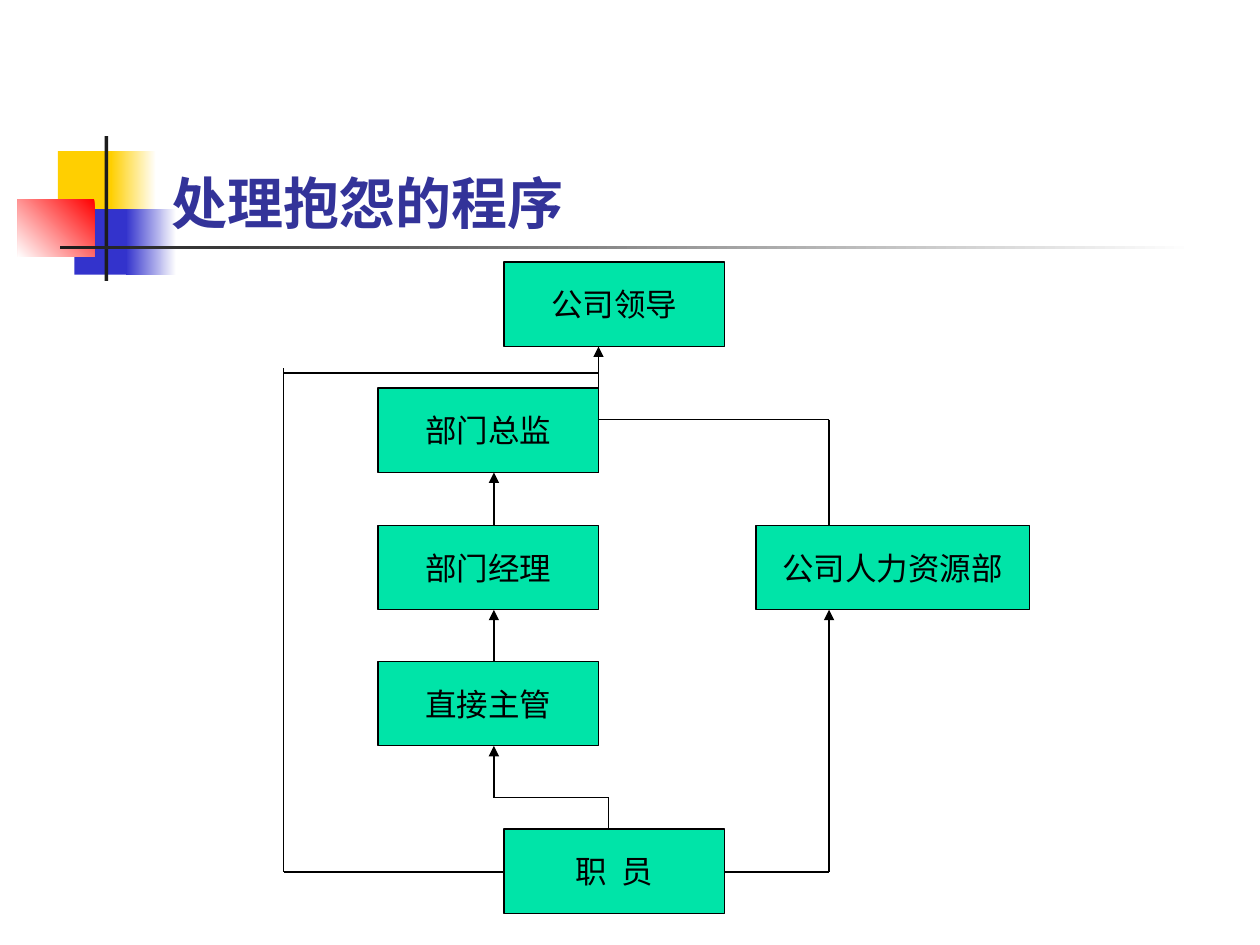
from lxml import etree
from pptx import Presentation
from pptx.dml.color import RGBColor
from pptx.enum.shapes import MSO_CONNECTOR, MSO_SHAPE
from pptx.enum.text import MSO_ANCHOR, MSO_AUTO_SIZE, PP_ALIGN
from pptx.oxml.ns import qn
from pptx.util import Inches, Pt

RECTANGLE = MSO_SHAPE.RECTANGLE
STRAIGHT = MSO_CONNECTOR.STRAIGHT
MIDDLE, BOTTOM = MSO_ANCHOR.MIDDLE, MSO_ANCHOR.BOTTOM
CENTER, LEFT = PP_ALIGN.CENTER, PP_ALIGN.LEFT
NO_AUTOFIT = MSO_AUTO_SIZE.NONE

FONT = "Karla"
BLACK, BOX_GREEN, TITLE_BLUE = "000000", "00E4A8", "333399"
TITLE = "处理抱怨的程序"

# left, top, width, height, colours (one solid, or two for a gradient), angle
ORNAMENTS = [
    (0.46, 1.2, 0.48, 0.52, ["FFCF01"], None),
    (0.88, 1.2, 0.36, 0.52, ["FFFFFF", "FFCF01"], 180),
    (0.59, 1.66, 0.46, 0.52, ["3333CC"], None),
    (1, 1.66, 0.4, 0.52, ["FFFFFF", "3333CC"], 180),
    (0.14, 1.58, 0.61, 0.46, ["FF0000", "FFFFFF"], 225),
    (0.83, 1.08, 0.03, 1.15, ["1C1C1C"], None),
    (0.48, 1.95, 9, 0.03, ["FFFFFF", "1C1C1C"], 180),
]

BOX_HEIGHT, BOX_WIDTH, HR_WIDTH = 0.67, 1.75, 2.17
CHAIN_LEFT, CENTRE_LEFT, HR_LEFT = 3, 4, 6
LEADER_TOP, DIRECTOR_TOP, MANAGER_TOP = 2.08, 3.08, 4.17
SUPERVISOR_TOP, STAFF_TOP = 5.25, 6.58
BOXES = [
    ("职  员", CENTRE_LEFT, STAFF_TOP, BOX_WIDTH),
    ("公司领导", CENTRE_LEFT, LEADER_TOP, BOX_WIDTH),
    ("部门总监", CHAIN_LEFT, DIRECTOR_TOP, BOX_WIDTH),
    ("部门经理", CHAIN_LEFT, MANAGER_TOP, BOX_WIDTH),
    ("直接主管", CHAIN_LEFT, SUPERVISOR_TOP, BOX_WIDTH),
    ("公司人力资源部", HR_LEFT, MANAGER_TOP, HR_WIDTH),
]

BYPASS_X, CHAIN_X, STAFF_X, LEADER_X, HR_X = 2.25, 3.92, 4.83, 4.75, 6.58
BYPASS_Y, HR_JOIN_Y, STEP_Y, STAFF_Y = 2.96, 3.33, 6.33, 6.92
STAFF_RIGHT = CENTRE_LEFT + BOX_WIDTH
# corner points of each route, and whether its end has an arrowhead
ROUTES = [
    ([(LEADER_X, DIRECTOR_TOP + BOX_HEIGHT), (LEADER_X, LEADER_TOP + BOX_HEIGHT)], True),
    ([(LEADER_X, HR_JOIN_Y), (HR_X, HR_JOIN_Y), (HR_X, MANAGER_TOP)], False),
    ([(STAFF_RIGHT, STAFF_Y), (HR_X, STAFF_Y), (HR_X, MANAGER_TOP + BOX_HEIGHT)], True),
    ([(CENTRE_LEFT, STAFF_Y), (BYPASS_X, STAFF_Y), (BYPASS_X, 2.92)], False),
    ([(BYPASS_X, BYPASS_Y), (LEADER_X, BYPASS_Y)], False),
    ([(STAFF_X, STAFF_TOP), (STAFF_X, STEP_Y), (CHAIN_X, STEP_Y),
      (CHAIN_X, SUPERVISOR_TOP + BOX_HEIGHT)], True),
    ([(CHAIN_X, SUPERVISOR_TOP), (CHAIN_X, MANAGER_TOP + BOX_HEIGHT)], True),
    ([(CHAIN_X, MANAGER_TOP), (CHAIN_X, DIRECTOR_TOP + BOX_HEIGHT)], True),
]


def rgb(color):
    return RGBColor.from_string(color)


def add_rectangle(slide, left, top, width, height):
    shape = slide.shapes.add_shape(
        RECTANGLE, Inches(left), Inches(top), Inches(width), Inches(height))
    shape.shadow.inherit = False
    return shape


def add_ornament(slide, left, top, width, height, colors, angle):
    ornament = add_rectangle(slide, left, top, width, height)
    ornament.line.fill.background()
    if angle is None:
        ornament.fill.solid()
        ornament.fill.fore_color.rgb = rgb(colors[0])
        return
    ornament.fill.gradient()
    ornament.fill.gradient_angle = angle
    for stop, color in zip(ornament.fill.gradient_stops, colors):
        stop.color.rgb = rgb(color)


def set_text(shape, text, size, color, anchor, align, bold=False):
    frame = shape.text_frame
    frame.text = text
    frame.auto_size = NO_AUTOFIT
    frame.vertical_anchor = anchor
    paragraph = frame.paragraphs[0]
    paragraph.alignment = align
    font = paragraph.font
    font.name, font.size, font.bold = FONT, Pt(size), bold
    font.color.rgb = rgb(color)


def add_box(slide, label, left, top, width):
    box = add_rectangle(slide, left, top, width, BOX_HEIGHT)
    box.fill.solid()
    box.fill.fore_color.rgb = rgb(BOX_GREEN)
    box.line.color.rgb = rgb(BLACK)
    box.line.width = Pt(0.75)
    set_text(box, label, 18, BLACK, MIDDLE, CENTER)
    box.text_frame.word_wrap = False


def add_line(slide, start, end, arrow):
    connector = slide.shapes.add_connector(
        STRAIGHT, *(Inches(value) for value in (*start, *end)))
    connector.line.color.rgb = rgb(BLACK)
    connector.line.width = Pt(0.75)
    if arrow:
        etree.SubElement(connector.line._get_or_add_ln(), qn("a:tailEnd"), type="triangle")
    etree.SubElement(connector._element.spPr, qn("a:effectLst"))


def add_title(slide):
    title = slide.shapes.title
    title.left, title.top = Inches(1.26), Inches(0.67)
    title.width, title.height = Inches(8.52), Inches(1.25)
    set_text(title, TITLE, 32, TITLE_BLUE, BOTTOM, LEFT, bold=True)
    slide.shapes._spTree.append(title._element)  # in front of the ornaments


def main():
    prs = Presentation()
    prs.slide_width, prs.slide_height = Inches(10), Inches(7.5)
    slide = prs.slides.add_slide(prs.slide_layouts[5])
    for ornament in ORNAMENTS:
        add_ornament(slide, *ornament)
    add_title(slide)
    for box in BOXES:
        add_box(slide, *box)
    for points, arrow in ROUTES:
        for start, end in zip(points, points[1:]):
            add_line(slide, start, end, arrow and end == points[-1])
    prs.save("out.pptx")


if __name__ == "__main__":
    main()
